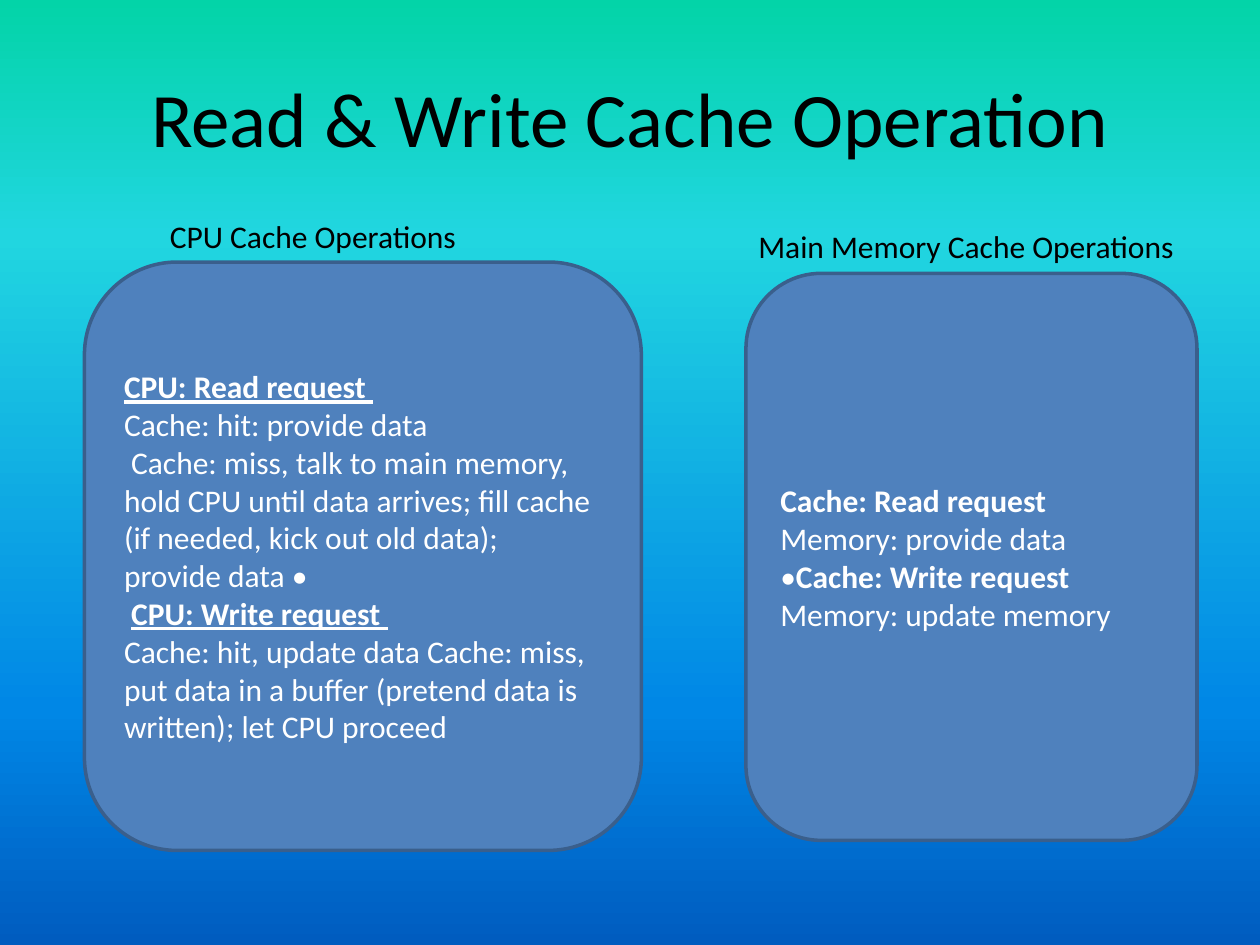
from dataclasses import dataclass

from lxml import etree
from pptx import Presentation
from pptx.dml.color import RGBColor
from pptx.enum import shapes, text
from pptx.oxml.ns import qn
from pptx.util import Inches, Pt


@dataclass(frozen=True)
class Theme:
    font: str = "Calibri"
    title_size: int = 44
    body_size: int = 18
    dark: str = "000000"
    light: str = "FFFFFF"
    panel: str = "4F81BD"
    panel_line: str = "3A5F8C"
    background: tuple = ((0, "03D4A8"), (25, "21D6E0"), (75, "0087E6"), (100, "005CBF"))


theme = Theme()


def add_run(p, words, size, color, bold=False, underline=False):
    r = p.add_run()
    r.text = words
    r.font.name = theme.font
    r.font.size = Pt(size)
    r.font.color.rgb = RGBColor.from_string(color)
    r.font.bold = bold
    r.font.underline = underline


def add_label(slide, box, words, size, wrap=False):
    """Add a dark one-line text box and return its text frame."""
    tf = slide.shapes.add_textbox(*map(Inches, box)).text_frame
    tf.word_wrap = wrap
    add_run(tf.paragraphs[0], words, size, theme.dark)
    return tf


prs = Presentation()
prs.slide_width, prs.slide_height = Inches(10), Inches(7.5)
s = prs.slides.add_slide(prs.slide_layouts[6])

# Background gradient, running from top to bottom
fill = s.background.fill
fill.gradient()
fill.gradient_angle = 270
stops = next(s.element.iter(qn("a:gsLst")))
for stop in list(stops):
    stops.remove(stop)
for percent, color in theme.background:
    stop = etree.SubElement(stops, qn("a:gs"), pos=str(percent * 1000))
    etree.SubElement(stop, qn("a:srgbClr"), val=color)

# Title
tf = add_label(s, (0.5, 0.3, 9, 1.25), "Read & Write Cache Operation", theme.title_size, wrap=True)
tf.vertical_anchor = text.MSO_ANCHOR.MIDDLE
tf.paragraphs[0].alignment = text.PP_ALIGN.CENTER

# Panels: paragraphs hold runs of (words, bold, underline)
cpu_steps = [
    [("CPU: Read request ", True, True)],
    [("Cache: hit: provide data", False, False)],
    [(" Cache: miss, talk to main memory, hold CPU until data arrives; "
      "fill cache (if needed, kick out old data); provide data •", False, False)],
    [(" ", False, False), ("CPU: Write request ", True, True)],
    [("Cache: hit, update data Cache: miss, put data in a buffer "
      "(pretend data is written); let CPU proceed", False, False)],
]
memory_steps = [
    [("Cache: Read request ", True, False), ("Memory: provide data •", False, False),
     ("Cache: Write request ", True, False), ("Memory: update memory", False, False)],
]
panels = [
    ("CPU Cache Operations", (1.25, 1.67, 2.5, 0.4), (0.67, 2.08, 4.42, 4.67), cpu_steps),
    ("Main Memory Cache Operations", (5.92, 1.75, 3.54, 0.4), (5.92, 2.17, 3.58, 4.5), memory_steps),
]
for heading, heading_box, panel_box, steps in panels:
    sp = s.shapes.add_shape(shapes.MSO_SHAPE.ROUNDED_RECTANGLE, *map(Inches, panel_box))
    sp.shadow.inherit = False
    sp.fill.solid()
    sp.fill.fore_color.rgb = RGBColor.from_string(theme.panel)
    sp.line.color.rgb = RGBColor.from_string(theme.panel_line)
    sp.line.width = Pt(2)
    tf = sp.text_frame
    tf.word_wrap = True
    tf.vertical_anchor = text.MSO_ANCHOR.MIDDLE
    for i, step in enumerate(steps):
        p = tf.add_paragraph() if i else tf.paragraphs[0]
        p.alignment = text.PP_ALIGN.LEFT
        for words, bold, underline in step:
            add_run(p, words, theme.body_size, theme.light, bold, underline)
    add_label(s, heading_box, heading, theme.body_size)

prs.save("out.pptx")
